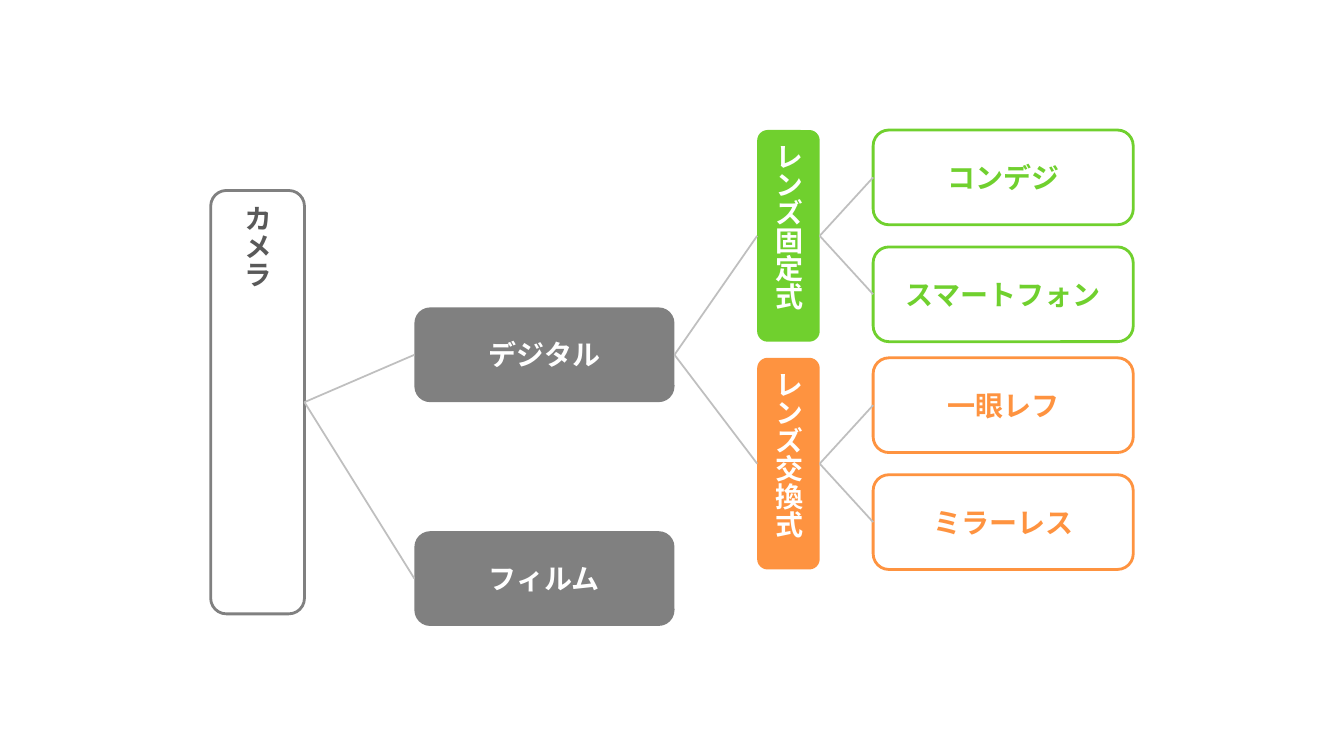
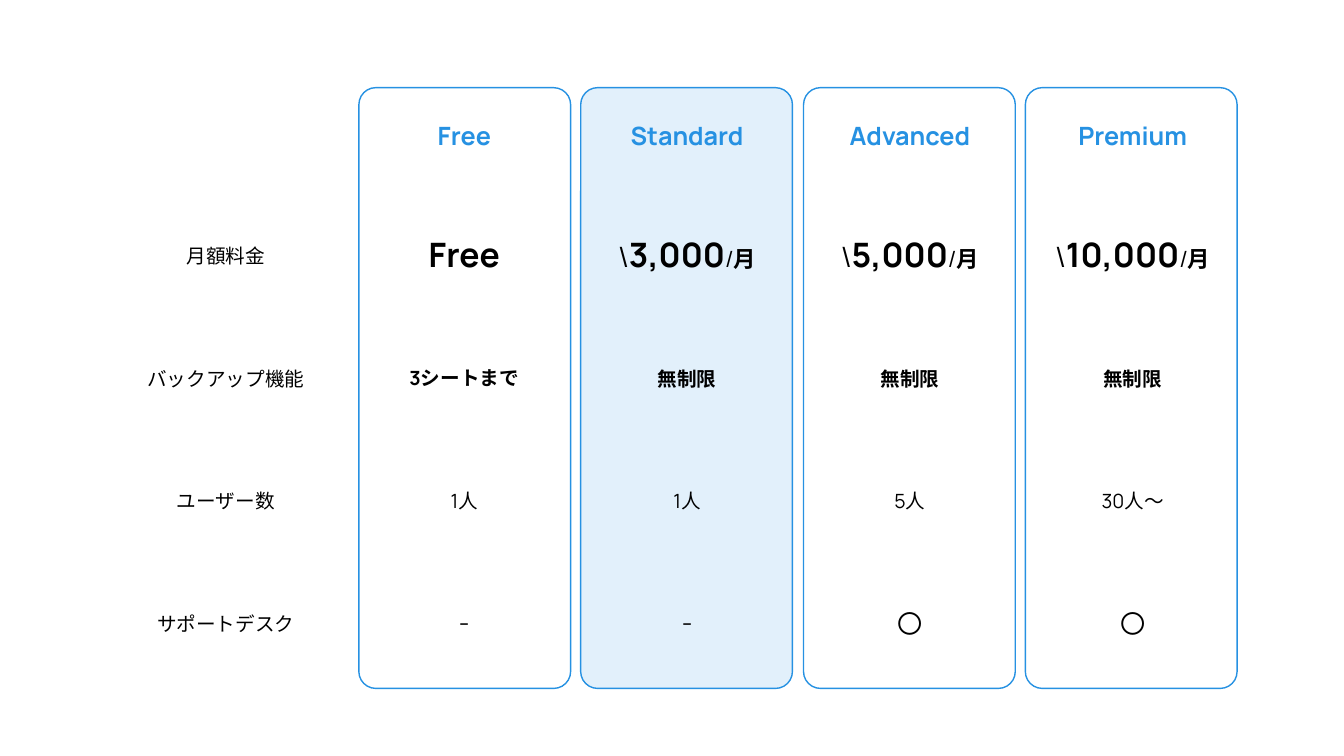
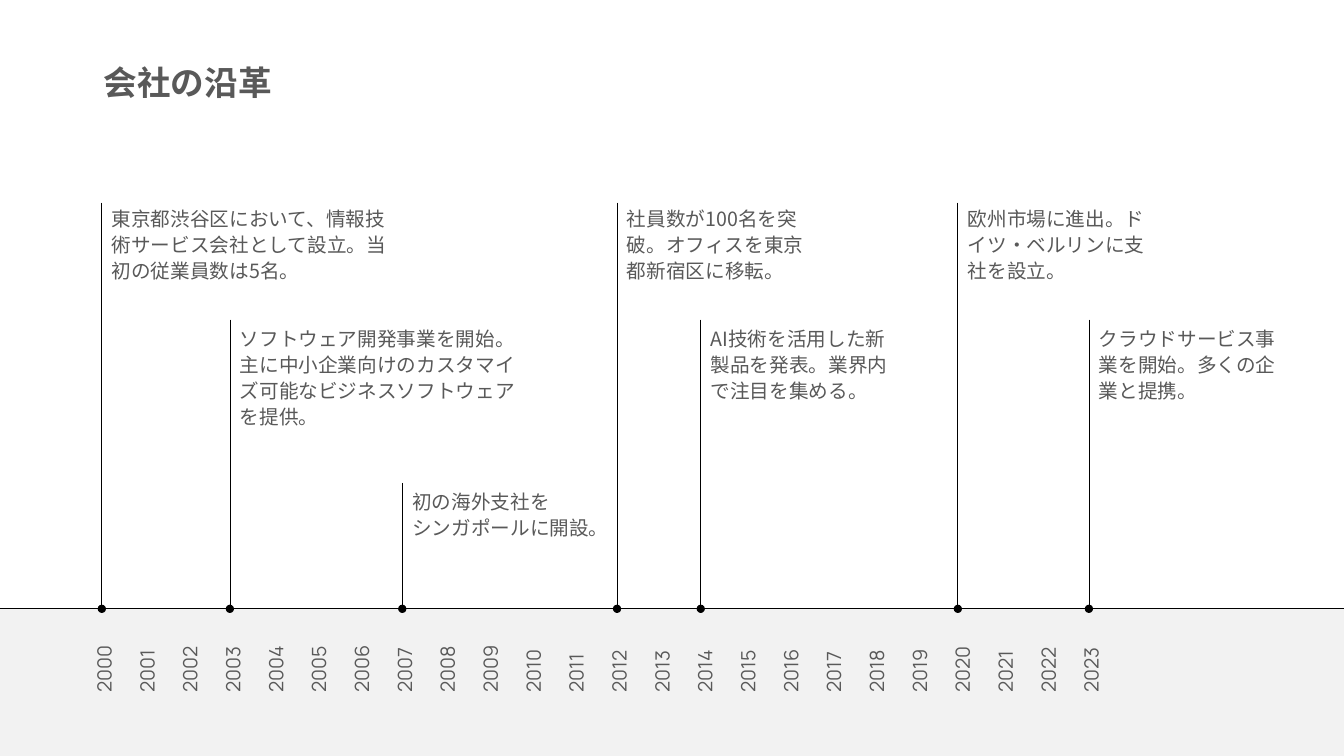
from lxml import etree
from pptx import Presentation, util as u
from pptx.dml.color import RGBColor
from pptx.enum import shapes, text
from pptx.oxml.ns import qn

PX = 9144
SLIDE_W, SLIDE_H = 1333, 750
JAPANESE, LATIN = "Noto Sans CJK JP", "Manrope"
COLORS = {
    "white": "FFFFFF", "black": "000000", "text": "595959", "gray": "808080",
    "link": "BFBFBF", "band": "F2F2F2", "green": "70D02E", "orange": "FE9340",
    "blue": "2691E2",
}
NO_TABLE_STYLE = "{2D5ABB26-0587-4C30-8999-92F81FD0307C}"

# Camera tree: name: (parent, kind, color, left, top)
NODE_SIZES = {"root": (93, 420), "leaf": (258, 94), "group": (258, 94), "tall": (62, 210)}
NODES = {
    "カメラ": (None, "root", "gray", 209, 189),
    "デジタル": ("カメラ", "group", "gray", 411, 305),
    "フィルム": ("カメラ", "group", "gray", 411, 527),
    "レンズ固定式": ("デジタル", "tall", "green", 751, 129),
    "レンズ交換式": ("デジタル", "tall", "orange", 751, 355),
    "コンデジ": ("レンズ固定式", "leaf", "green", 866, 129),
    "スマートフォン": ("レンズ固定式", "leaf", "green", 866, 245),
    "一眼レフ": ("レンズ交換式", "leaf", "orange", 866, 355),
    "ミラーレス": ("レンズ交換式", "leaf", "orange", 866, 471),
}

# Price plans
PLANS = ["Free", "Standard", "Advanced", "Premium"]
HIGHLIGHT = "Standard"
PRICES = ["Free", "3,000", "5,000", "10,000"]
# (label, values, size, bold)
FEATURES = [
    ("バックアップ機能", ["3シートまで", "無制限", "無制限", "無制限"], 14, True),
    ("ユーザー数", ["1人", "1人", "5人", "30人～"], 14, False),
    ("サポートデスク", ["-", "-", "〇", "〇"], 18, False),
]

# Company history
YEARS = range(2000, 2024)
AXIS_Y = 604
LEVELS = {"high": (201, 198), "middle": (317, 317), "low": (479, 479)}  # stem top, text top
# (x, level, text width, text height, lines)
EVENTS = [
    (101, "high", 306, 86,
     ["東京都渋谷区において、情報技術サービス会社として設立。当初の従業員数は5名。"]),
    (228, "middle", 306, 112,
     ["ソフトウェア開発事業を開始。主に中小企業向けのカスタマイズ可能なビジネスソフトウェアを提供。"]),
    (399, "low", 202, 60, ["初の海外支社を", "シンガポールに開設。"]),
    (612, "high", 202, 86, ["社員数が100名を突破。オフィスを東京都新宿区に移転。"]),
    (695, "middle", 202, 86, ["AI技術を活用した新製品を発表。業界内で注目を集める。"]),
    (950, "high", 202, 86, ["欧州市場に進出。ドイツ・ベルリンに支社を設立。"]),
    (1080, "middle", 202, 86, ["クラウドサービス事業を開始。多くの企業と提携。"]),
]


def color(name):
    return RGBColor.from_string(COLORS[name])


def px(*lengths):
    return [u.Emu(round(length * PX)) for length in lengths]


def add_span(para, words, size, ink, bold=False, face=JAPANESE):
    span = para.add_run()
    span.text = words
    font = span.font
    font.size, font.bold, font.name = u.Pt(size), bold, face
    font.color.rgb = color(ink)
    east_asian = etree.SubElement(span._r.get_or_add_rPr(), qn("a:ea"))
    east_asian.set("typeface", JAPANESE)


def add_box(page, kind, area, fill=None, line=None, weight=1):
    box = page.shapes.add_shape(kind, *px(*area))
    box.shadow.inherit = False
    if fill:
        box.fill.solid()
        box.fill.fore_color.rgb = color(fill)
    else:
        box.fill.background()
    if line:
        box.line.color.rgb = color(line)
        box.line.width = u.Pt(weight)
    else:
        box.line.fill.background()
    return box


def add_line(page, ends, ink, weight):
    line = page.shapes.add_connector(shapes.MSO_CONNECTOR.STRAIGHT, *px(*ends))
    line.line.color.rgb = color(ink)
    line.line.width = u.Pt(weight)
    etree.SubElement(line._element.spPr, qn("a:effectLst"))
    return line


def add_label(page, area, lines, size=14, bold=False, face=JAPANESE):
    box = page.shapes.add_textbox(*px(*area))
    box.text_frame.word_wrap = True
    box.text_frame.auto_size = text.MSO_AUTO_SIZE.SHAPE_TO_FIT_TEXT
    para = box.text_frame.paragraphs[0]
    para.line_spacing = 1.1
    for index, words in enumerate(lines):
        if index:
            para.add_line_break()
        add_span(para, words, size, "text", bold, face)
    return box


def add_node(page, name, kind, tone, left, top):
    outlined = kind in ("root", "leaf")
    box = add_box(page, shapes.MSO_SHAPE.ROUNDED_RECTANGLE, (left, top, *NODE_SIZES[kind]),
                  "white" if outlined else tone, tone if outlined else None, 2)
    frame = box.text_frame
    frame.vertical_anchor = text.MSO_ANCHOR.MIDDLE
    para = frame.paragraphs[0]
    if kind in ("root", "tall"):
        frame._txBody.bodyPr.set("vert", "eaVert")
        para.alignment = text.PP_ALIGN.LEFT
    else:
        para.alignment = text.PP_ALIGN.CENTER
    ink = {"root": "text", "leaf": tone}.get(kind, "white")
    add_span(para, name, 20, ink, True)
    return box


def build_tree(page):
    boxes = {name: add_node(page, name, *node[1:]) for name, node in NODES.items()}
    for name, (parent, *_) in NODES.items():
        if parent:
            link = add_line(page, (0, 0, 0, 0), "link", 1.25)
            link.begin_connect(boxes[name], 1)
            link.end_connect(boxes[parent], 3)


def plan_rows():
    """Return table rows, each cell being a list of (words, size, ink, bold)."""
    rows = [[[]] + [[(plan, 18, "blue", True)] for plan in PLANS]]
    prices = [[("月額料金", 14, "black", False)]]
    for price in PRICES:
        amount = (price, 24, "black", True)
        prices.append([amount] if price == "Free" else [
            ("\\", 20, "black", False), amount,
            ("/", 16, "black", False), ("月", 16, "black", True)])
    rows.append(prices)
    for label, values, size, bold in FEATURES:
        rows.append([[(label, 14, "black", False)]]
                    + [[(value, size, "black", bold)] for value in values])
    return rows


def build_plans(page):
    for index, plan in enumerate(PLANS):
        left = 356 + round(index * 661 / 3)
        chosen = plan == HIGHLIGHT
        card = add_box(page, shapes.MSO_SHAPE.ROUNDED_RECTANGLE, (left, 87, 210, 596),
                       "blue" if chosen else None, "blue")
        card.adjustments[0] = 0.08
        if chosen:
            tint = card.fill._xPr.find(qn("a:solidFill")).find(qn("a:srgbClr"))
            etree.SubElement(tint, qn("a:alpha")).set("val", "13000")

    rows = plan_rows()
    table = page.shapes.add_table(len(rows), len(rows[0]), *px(98, 70, 1136, 609)).table
    table.first_row = table.horz_banding = False
    table._tbl.tblPr.find(qn("a:tableStyleId")).text = NO_TABLE_STYLE
    for index, column in enumerate(table.columns):
        column.width = px(221 if index else 252)[0]
    for row_index, row in enumerate(rows):
        for column_index, spans in enumerate(row):
            cell = table.cell(row_index, column_index)
            cell.vertical_anchor = text.MSO_ANCHOR.MIDDLE
            if column_index:
                cell.fill.background()
            else:
                cell.fill.solid()
                cell.fill.fore_color.rgb = color("white")
            para = cell.text_frame.paragraphs[0]
            para.alignment = text.PP_ALIGN.CENTER
            if row_index == 0:
                para.line_spacing = 1.2
            for span in spans:
                add_span(para, *span, face=LATIN)


def build_history(page):
    add_box(page, shapes.MSO_SHAPE.RECTANGLE,
            (0, AXIS_Y, SLIDE_W, SLIDE_H - AXIS_Y), "band")
    add_line(page, (0, AXIS_Y, SLIDE_W, AXIS_Y), "black", 0.5)
    add_label(page, (93, 53, 306, 51), ["会社の沿革"], 24, True)
    for x, level, width, height, lines in EVENTS:
        stem_top, text_top = LEVELS[level]
        stem = add_line(page, (x, stem_top, x, AXIS_Y), "black", 0.5)
        etree.SubElement(stem.line._get_or_add_ln(), qn("a:tailEnd")).set("type", "oval")
        add_label(page, (x, text_top, width, height), lines)
    step = 979 / (len(YEARS) - 1)
    for index, year in enumerate(YEARS):
        label = add_label(page, (66 + index * step, 644, 71, 35), [str(year)], face=LATIN)
        label.rotation = 270


def main():
    deck = Presentation()
    deck.slide_width, deck.slide_height = px(SLIDE_W, SLIDE_H)
    for build in (build_tree, build_plans, build_history):
        build(deck.slides.add_slide(deck.slide_layouts[6]))
    deck.save("out.pptx")


if __name__ == "__main__":
    main()
